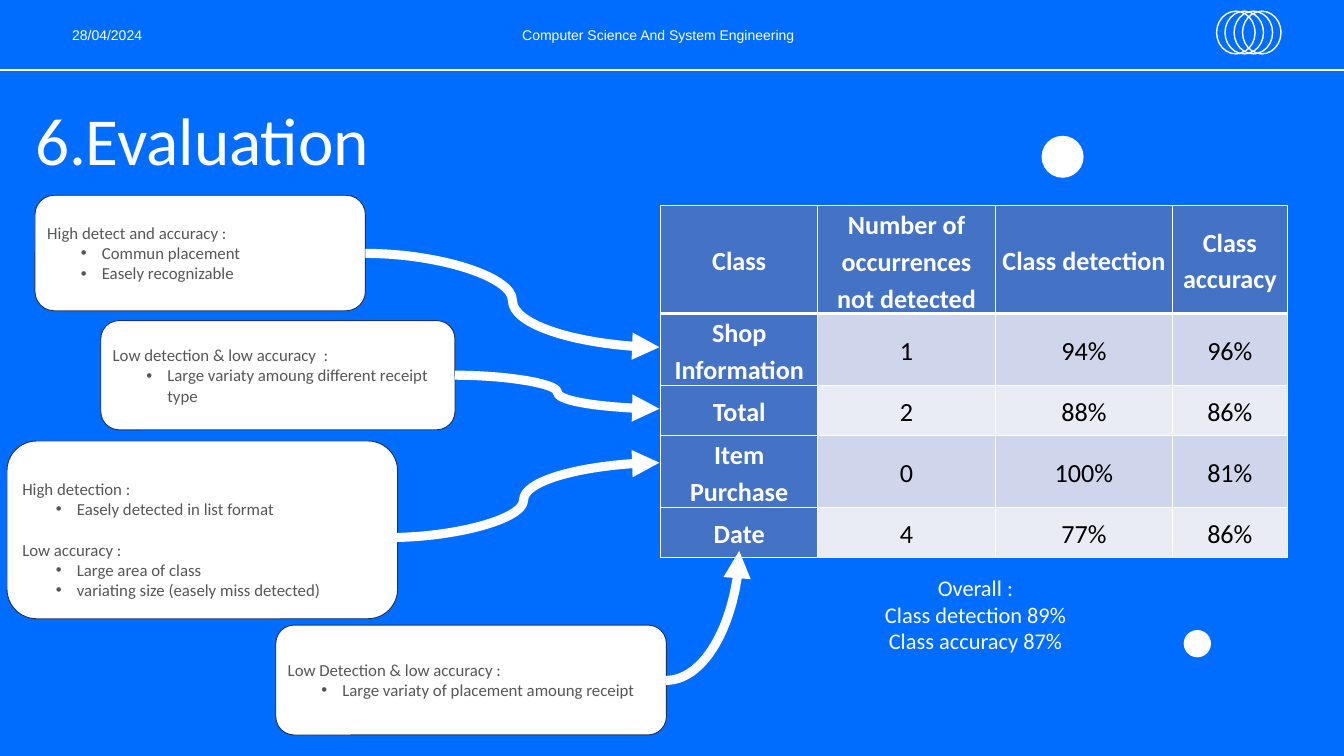
from dataclasses import dataclass
from typing import Optional

from lxml.etree import SubElement
from pptx import Presentation
from pptx.dml.color import RGBColor
from pptx.enum.shapes import MSO_CONNECTOR, MSO_SHAPE
from pptx.enum.text import MSO_ANCHOR, PP_ALIGN
from pptx.oxml import parse_xml
from pptx.oxml.ns import nsdecls, qn
from pptx.util import Emu, Pt

EMU_PER_PX = 9525
COLORS = {
    "blue": "006DFF", "white": "FFFFFF", "black": "000000", "outline": "1E3256",
    "gray": "565656", "header": "4472C4", "band_dark": "CFD5EA", "band_light": "E9EBF5",
}


@dataclass
class Line:
    text: str
    bullet: bool = False
    space_before: int = 0


@dataclass
class Callout:
    box: tuple[int, int, int, int]
    lines: list[Line]
    arrow_start: tuple[int, int]
    arrow_end: tuple[int, int]
    top_inset: int = 5
    arrow_kind: str = "curvedConnector3"


CALLOUTS = [
    Callout((50, 279, 472, 165),
            [Line("High detect and accuracy :"), Line("Commun placement", True),
             Line("Easely recognizable", True)],
            (522, 362), (942, 496)),
    Callout((394, 893, 558, 157),
            [Line("Low Detection & low accuracy :"),
             Line("Large variaty of placement amoung receipt", True)],
            (951, 972), (1056, 787), arrow_kind="curvedConnector2"),
    Callout((144, 458, 506, 156),
            [Line("Low detection & low accuracy  :"),
             Line("Large variaty amoung different receipt type", True)],
            (650, 536), (942, 584)),
    Callout((10, 630, 558, 254),
            [Line("High detection :"), Line("Easely detected in list format", True),
             Line("Low accuracy :", space_before=22), Line("Large area of class", True),
             Line("variating size (easely miss detected)", True)],
            (554, 768), (942, 661), top_inset=31),
]

TABLE_ROWS = [
    ("Class", "Number of occurrences not detected", "Class detection", "Class accuracy"),
    ("Shop Information", "1", "94%", "96%"),
    ("Total", "2", "88%", "86%"),
    ("Item Purchase", "0", "100%", "81%"),
    ("Date", "4", "77%", "86%"),
]
COLUMN_WIDTHS = (224, 254, 253, 164)
ROW_HEIGHTS = (145, 91, 71, 71, 71)


def px(value: int) -> Emu:
    return Emu(value * EMU_PER_PX)


def color(name: str) -> RGBColor:
    return RGBColor.from_string(COLORS[name])


def add_span(para, text: str, size: int, color_name: str,
             font: str = "Calibri", bold: bool = False) -> None:
    span = para.add_run()
    span.text = text
    span.font.name = font
    span.font.size = Pt(size)
    span.font.bold = bold
    span.font.color.rgb = color(color_name)


def add_text_box(page, bounds: tuple[int, int, int, int], inset: Optional[int] = None,
                 wrap: bool = True):
    frame = page.shapes.add_textbox(*map(px, bounds)).text_frame
    frame.word_wrap = wrap
    if inset is not None:
        frame.margin_left = frame.margin_right = px(inset)
        frame.margin_top = frame.margin_bottom = px(inset)
    return frame


def add_box(page, kind: MSO_SHAPE, bounds: tuple[int, int, int, int],
            fill: Optional[str] = None, line: Optional[str] = None, width: float = 1):
    box = page.shapes.add_shape(kind, *map(px, bounds))
    box.shadow.inherit = False
    if fill:
        box.fill.solid()
        box.fill.fore_color.rgb = color(fill)
    else:
        box.fill.background()
    if line:
        box.line.color.rgb = color(line)
        box.line.width = Pt(width)
    else:
        box.line.fill.background()
    return box


def add_line(page, kind: MSO_CONNECTOR, start: tuple[int, int], end: tuple[int, int],
             width: float):
    line = page.shapes.add_connector(kind, *map(px, start + end))
    line.line.color.rgb = color("white")
    line.line.width = Pt(width)
    SubElement(line._element.spPr, qn("a:effectLst"))
    return line


def add_callout(page, callout: Callout) -> None:
    box = add_box(page, MSO_SHAPE.ROUNDED_RECTANGLE, callout.box, "white", "outline")
    frame = box.text_frame
    frame.word_wrap = True
    frame.vertical_anchor = MSO_ANCHOR.MIDDLE
    frame.margin_top = px(callout.top_inset)
    for index, line in enumerate(callout.lines):
        para = frame.add_paragraph() if index else frame.paragraphs[0]
        para.alignment = PP_ALIGN.LEFT
        if line.space_before:
            para.space_before = Pt(line.space_before)
        if line.bullet:
            para.level = 1
            properties = para._p.get_or_add_pPr()
            properties.set("marL", str(px(78)))
            properties.set("indent", str(px(-30)))
            SubElement(properties, qn("a:buFont"), typeface="Arial")
            SubElement(properties, qn("a:buChar"), char="•")
        add_span(para, line.text, 18, "gray")
    arrow = add_line(page, MSO_CONNECTOR.CURVE, callout.arrow_start, callout.arrow_end, 9.75)
    arrow._element.spPr.find(qn("a:prstGeom")).set("prst", callout.arrow_kind)
    SubElement(arrow.line._get_or_add_ln(), qn("a:tailEnd"), type="triangle")


def style_cell(cell, text: str, row: int, column: int) -> None:
    heading = row == 0 or column == 0
    cell.vertical_anchor = MSO_ANCHOR.MIDDLE
    cell.margin_left = cell.margin_right = px(7)
    cell.margin_top = cell.margin_bottom = 0
    cell.fill.solid()
    band = "band_dark" if row % 2 else "band_light"
    cell.fill.fore_color.rgb = color("header" if heading else band)
    for index, side in enumerate(("lnL", "lnR", "lnT", "lnB")):
        thick = (row == 0 and side == "lnB") or (row == 1 and side == "lnT")
        border = parse_xml(
            f'<a:{side} {nsdecls("a")} w="{Pt(3 if thick else 1)}"><a:solidFill>'
            f'<a:srgbClr val="{COLORS["white"]}"/></a:solidFill></a:{side}>')
        cell._tc.get_or_add_tcPr().insert(index, border)
    para = cell.text_frame.paragraphs[0]
    para.alignment = PP_ALIGN.CENTER
    para.line_spacing = 1.15
    add_span(para, text, 28, "white" if heading else "black", bold=heading)


def add_results_table(page) -> None:
    bounds = (944, 293, sum(COLUMN_WIDTHS), sum(ROW_HEIGHTS))
    table = page.shapes.add_table(len(TABLE_ROWS), len(COLUMN_WIDTHS), *map(px, bounds)).table
    for column, width in zip(table.columns, COLUMN_WIDTHS):
        column.width = px(width)
    for row_index, (texts, height) in enumerate(zip(TABLE_ROWS, ROW_HEIGHTS)):
        table.rows[row_index].height = px(height)
        for column_index, text in enumerate(texts):
            style_cell(table.cell(row_index, column_index), text, row_index, column_index)


def main() -> None:
    deck = Presentation()
    deck.slide_width, deck.slide_height = px(1920), px(1080)
    page = deck.slides.add_slide(deck.slide_layouts[6])
    page.background.fill.solid()
    page.background.fill.fore_color.rgb = color("blue")

    # Title and dots
    title = add_text_box(page, (50, 121, 1031, 125), inset=0).paragraphs[0]
    title.line_spacing = Pt(100.8)
    add_span(title, "6.Evaluation", 72, "white")
    for left, top, size in ((1488, 194, 60), (1691, 900, 39)):
        add_box(page, MSO_SHAPE.OVAL, (left, top, size, size), "white")

    # Results, explained by callouts
    add_results_table(page)
    for callout in CALLOUTS:
        add_callout(page, callout)

    # Overall scores
    overall = add_text_box(page, (1188, 815, 411, 126), wrap=False)
    for index, text in enumerate(("Overall :", "Class detection 89%", "Class accuracy 87%")):
        para = overall.add_paragraph() if index else overall.paragraphs[0]
        para.alignment = PP_ALIGN.CENTER
        add_span(para, text, 24, "white")

    # Header: rings, rule, date and department
    for index in range(4):
        add_box(page, MSO_SHAPE.OVAL, (1738 + 25 * index // 2, 16, 55, 61),
                line="white", width=1.5)
    add_line(page, MSO_CONNECTOR.STRAIGHT, (0, 100), (1920, 100), 1.5)
    header = add_text_box(page, (103, 34, 1576, 26), inset=0).paragraphs[0]
    header.line_spacing = Pt(21)
    tabs = SubElement(header._p.get_or_add_pPr(), qn("a:tabLst"))
    SubElement(tabs, qn("a:tab"), pos=str(px(643)), algn="l")
    add_span(header, "28/04/2024\t", 15, "white", font="Arial")
    add_span(header, "Computer Science And System Engineering", 15, "white", font="Arial")

    deck.save("out.pptx")


if __name__ == "__main__":
    main()
